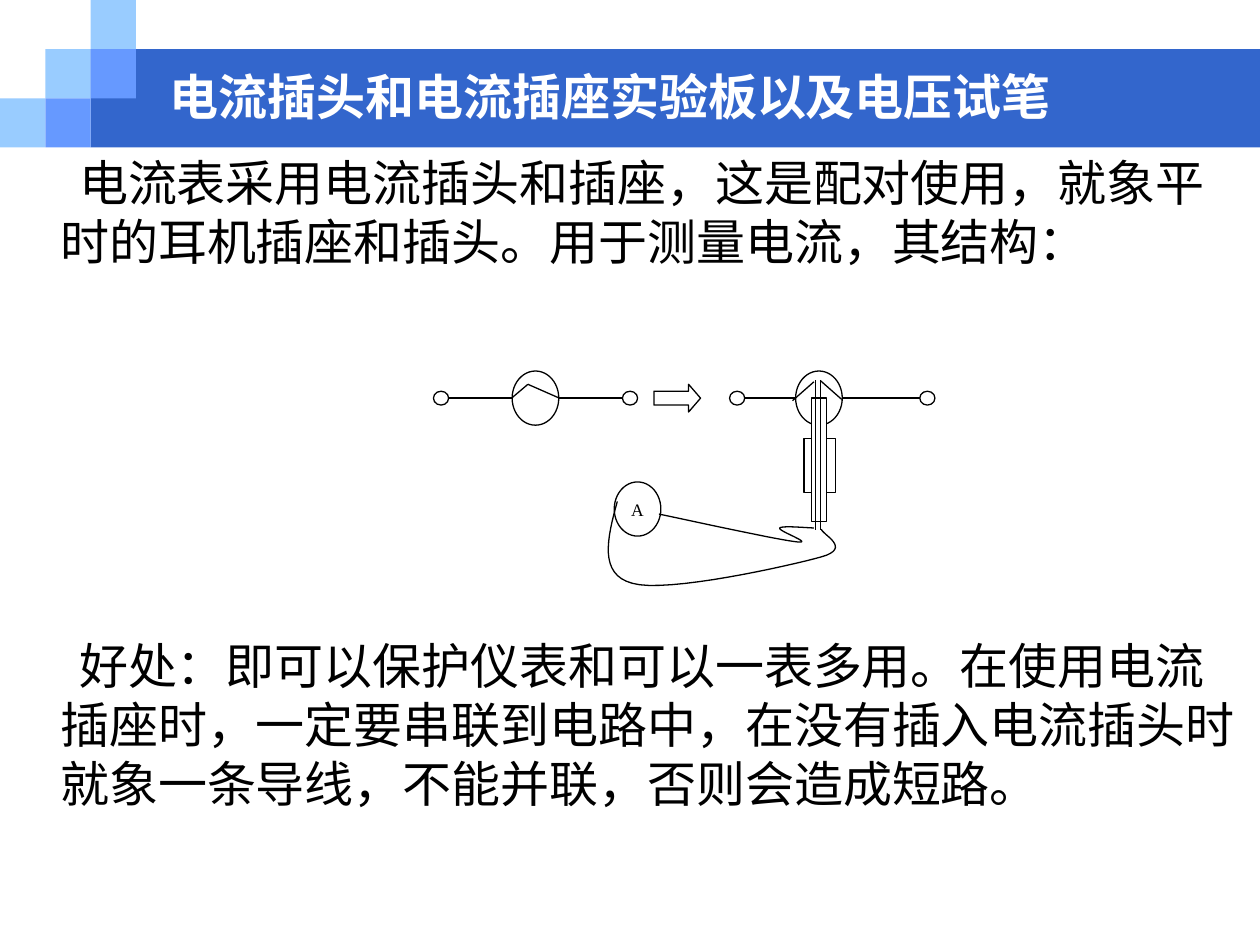
"""Build the slide on current plugs, sockets and voltage probes."""
from lxml.etree import SubElement
from pptx import Presentation
from pptx.dml.color import RGBColor
from pptx.enum.shapes import MSO_CONNECTOR, MSO_SHAPE
from pptx.enum.text import MSO_ANCHOR, PP_ALIGN
from pptx.oxml.ns import qn
from pptx.util import Inches, Pt

BLACK = RGBColor(0, 0, 0)
WHITE = RGBColor(255, 255, 255)
BAND_BLUE = RGBColor(0x33, 0x66, 0xCC)
LIGHT_BLUE = RGBColor(0x99, 0xCC, 0xFF)
MIDDLE_BLUE = RGBColor(0x66, 0x99, 0xFF)
FONT = "Noto Sans CJK SC"
LABEL_FONT = "Times New Roman"

TITLE = "电流插头和电流插座实验板以及电压试笔"
BODY = [
    ("电流表采用电流插头和插座，这是配对使用，就象平时的耳机插座和插头。用于测量电流，其结构：", 0),
    ("好处：即可以保护仪表和可以一表多用。在使用电流插座时，一定要串联到电路中，"
     "在没有插入电流插头时就象一条导线，不能并联，否则会造成短路。", 209),
]

WIDTH, HEIGHT = 10, 7.5
BODY_TOP = 1.16
COLUMN, ROW = 0.36, 0.39
SQUARES = [(0, 2, LIGHT_BLUE), (1, 1, LIGHT_BLUE), (2, 0, LIGHT_BLUE),
           (2, 1, MIDDLE_BLUE), (1, 2, MIDDLE_BLUE)]

AXIS = 3.16
RING_SIZE = (0.37, 0.43)
TERMINAL_SIZE = (0.12, 0.11)
SOCKETS = [(4.25, AXIS), (6.5, AXIS)]
METER = (5.06, 4.04)
TERMINALS = [(3.5, AXIS), (5, AXIS), (5.85, AXIS), (7.36, AXIS)]
PLUG_PARTS = [(6.38, 3.48, 0.25, 0.43), (6.44, AXIS, 0.12, 0.98)]
WIRES = [
    (3.44, AXIS, 4.06, AXIS), (4.44, AXIS, 5.06, AXIS),
    (4.06, AXIS, 4.19, 3.05), (4.19, 3.05, 4.44, AXIS),
    (5.81, AXIS, 6.31, AXIS), (6.69, AXIS, 7.31, AXIS),
    (6.47, 3.02, 6.47, 4.21), (6.51, 3.02, 6.51, 4.21),
    (6.29, 3.18, 6.46, 3.03), (6.51, 3.02, 6.68, 3.17),
]
CABLES = [
    [(5.23, 4.08), (5.7, 4.18), (6.16, 4.28), (6.32, 4.3), (6.48, 4.32),
     (6.16, 4.21), (6.19, 4.19), (6.21, 4.17), (6.41, 4.19), (6.46, 4.19)],
    [(4.9, 3.98), (4.82, 4.27), (4.75, 4.56), (5.02, 4.63), (5.29, 4.71),
     (6.27, 4.49), (6.52, 4.42), (6.77, 4.35), (6.52, 4.24), (6.52, 4.2)],
]
CURVE_STEPS = 16


def style_paragraph(paragraph, text, size, color, font=FONT, bold=False):
    paragraph.text = text
    paragraph.font.size = Pt(size)
    paragraph.font.bold = bold
    paragraph.font.color.rgb = color
    paragraph.font.name = font
    east_asian = SubElement(paragraph.font._element, qn("a:ea"))
    east_asian.set("typeface", font)


def set_outline(shape):
    shape.line.color.rgb = BLACK
    shape.line.width = Pt(0.75)


def add_block(slide, kind, box, fill, outlined=True):
    shape = slide.shapes.add_shape(kind, *map(Inches, box))
    shape.shadow.inherit = False
    shape.fill.solid()
    shape.fill.fore_color.rgb = fill
    if outlined:
        set_outline(shape)
    else:
        shape.line.fill.background()
    return shape


def add_ring(slide, center, size):
    (x, y), (width, height) = center, size
    box = (x - width / 2, y - height / 2, width, height)
    return add_block(slide, MSO_SHAPE.OVAL, box, WHITE)


def add_wire(slide, ends):
    wire = slide.shapes.add_connector(MSO_CONNECTOR.STRAIGHT, *map(Inches, ends))
    set_outline(wire)
    SubElement(wire._element.spPr, qn("a:effectLst"))


def curve_points(controls):
    points = [controls[0]]
    for start in range(0, len(controls) - 1, 3):
        corners = controls[start:start + 4]
        for step in range(1, CURVE_STEPS + 1):
            t = step / CURVE_STEPS
            weights = ((1 - t) ** 3, 3 * t * (1 - t) ** 2, 3 * t * t * (1 - t), t ** 3)
            points.append(tuple(sum(weight * corner[axis] for weight, corner in zip(weights, corners))
                                for axis in (0, 1)))
    return [(Inches(x), Inches(y)) for x, y in points]


def add_cable(slide, controls):
    first, *rest = curve_points(controls)
    builder = slide.shapes.build_freeform(*first)
    builder.add_line_segments(rest, close=False)
    cable = builder.convert_to_shape()
    cable.shadow.inherit = False
    cable.fill.background()
    set_outline(cable)


def add_header(slide):
    band = (2 * COLUMN, ROW, WIDTH - 2 * COLUMN, 2 * ROW)
    add_block(slide, MSO_SHAPE.RECTANGLE, band, BAND_BLUE, outlined=False)
    for column, row, color in SQUARES:
        box = (column * COLUMN, row * ROW, COLUMN, ROW)
        add_block(slide, MSO_SHAPE.RECTANGLE, box, color, outlined=False)


def add_circuit(slide):
    for center in SOCKETS:
        add_ring(slide, center, RING_SIZE)
    arrow = add_block(slide, MSO_SHAPE.RIGHT_ARROW, (5.19, 3.05, 0.37, 0.22), WHITE)
    arrow.adjustments[1] = 0.43
    for box in PLUG_PARTS:
        add_block(slide, MSO_SHAPE.RECTANGLE, box, WHITE)
    for ends in WIRES:
        add_wire(slide, ends)
    meter = add_ring(slide, METER, RING_SIZE)
    frame = meter.text_frame
    frame.margin_left = frame.margin_right = frame.margin_top = frame.margin_bottom = 0
    frame.vertical_anchor = MSO_ANCHOR.MIDDLE
    style_paragraph(frame.paragraphs[0], "A", 10, BLACK, LABEL_FONT)
    frame.paragraphs[0].alignment = PP_ALIGN.CENTER
    for controls in CABLES:
        add_cable(slide, controls)
    for center in TERMINALS:
        add_ring(slide, center, TERMINAL_SIZE)


def add_text_frame(slide, box):
    frame = slide.shapes.add_textbox(*map(Inches, box)).text_frame
    frame.word_wrap = True
    return frame


def add_texts(slide):
    title = add_text_frame(slide, (1.25, 0.5, 8.08, 0.53))
    title.vertical_anchor = MSO_ANCHOR.MIDDLE
    style_paragraph(title.paragraphs[0], TITLE, 28, WHITE, bold=True)

    body = add_text_frame(slide, (0, BODY_TOP, WIDTH, HEIGHT - BODY_TOP))
    for index, (text, gap) in enumerate(BODY):
        paragraph = body.add_paragraph() if index else body.paragraphs[0]
        style_paragraph(paragraph, text, 28, BLACK)
        paragraph.line_spacing = Pt(33.6)
        if gap:
            paragraph.space_before = Pt(gap)
        properties = paragraph._p.get_or_add_pPr()
        properties.set("marL", str(Inches(0.38)))
        properties.set("indent", str(Inches(0.15)))


def main():
    presentation = Presentation()
    presentation.slide_width = Inches(WIDTH)
    presentation.slide_height = Inches(HEIGHT)
    slide = presentation.slides.add_slide(presentation.slide_layouts[6])
    add_header(slide)
    add_circuit(slide)
    add_texts(slide)
    presentation.save("out.pptx")


if __name__ == "__main__":
    main()
